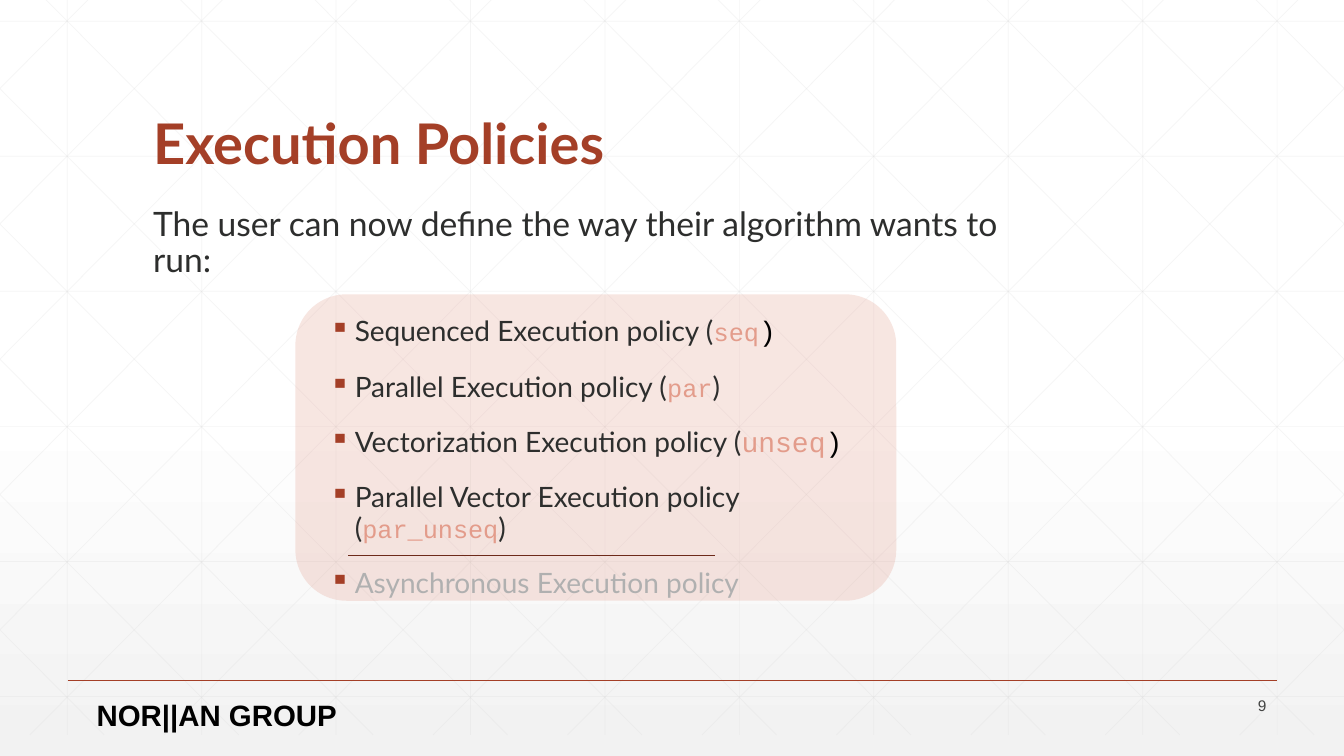
"""Build the slide on execution policies."""
from copy import deepcopy
from dataclasses import dataclass

from lxml import etree
from pptx import Presentation
from pptx.dml.color import RGBColor
from pptx.enum.shapes import MSO_CONNECTOR, MSO_SHAPE
from pptx.enum.text import MSO_ANCHOR, PP_ALIGN
from pptx.oxml.ns import qn
from pptx.util import Inches, Pt

LINE = MSO_CONNECTOR.STRAIGHT
ROUND = MSO_SHAPE.ROUNDED_RECTANGLE
TOP, MIDDLE, BOTTOM = MSO_ANCHOR.TOP, MSO_ANCHOR.MIDDLE, MSO_ANCHOR.BOTTOM
LEFT, RIGHT = PP_ALIGN.LEFT, PP_ALIGN.RIGHT

WIDE, HIGH = 13.33, 7.5
STEP_X, STEP_Y = 4 / 3, 1.34
GRID_TOP, GRID_END = -0.21, 7.29
RUN = 7.45

COLORS = {
    "white": "FFFFFF", "fade": "F2F2F2", "grid": "D9D9D9", "rust": "A43F27",
    "dark": "6D2A1A", "rose": "E39C8B", "ink": "2D2E2D", "black": "000000",
    "gray": "B0B0B0", "page": "424342",
}

FORMATS = {
    "title": {"name": "Lato", "size": Pt(40), "bold": True},
    "lead": {"name": "Lato", "size": Pt(24)},
    "body": {"name": "Lato", "size": Pt(20)},
    "code": {"name": "Courier New", "size": Pt(18)},
    "large": {"name": "Courier New", "size": Pt(20)},
    "group": {"name": "Arial", "size": Pt(21), "bold": True},
    "page": {"name": "Arial", "size": Pt(11)},
}


@dataclass
class Run:
    text: str
    form: str = "body"
    color: str = "ink"


@dataclass
class Box:
    at: tuple
    lines: list
    anchor: MSO_ANCHOR = TOP
    align: PP_ALIGN = LEFT
    space: float = 1.0
    wrap: bool = True
    list_mark: bool = False


@dataclass
class Rule:
    start: tuple
    end: tuple
    color: str = "grid"
    width: float = 0.5
    alpha: int = 100


POLICIES = [
    [Run("Sequenced Execution policy ("), Run("seq", "code", "rose"), Run(")", "large", "black")],
    [Run("Parallel Execution policy ("), Run("par", "code", "rose"), Run(")")],
    [Run("Vectorization Execution policy ("), Run("unseq", "large", "rose"),
     Run(")", "large", "black")],
    [Run("Parallel Vector Execution policy ("), Run("par_unseq", "code", "rose"), Run(")")],
    [Run("Asynchronous Execution policy", color="gray")],
]

BOXES = [
    Box((0.86, 6.87, 2.6, 0.45), [[Run("NOR||AN GROUP", "group", "black")]], wrap=False),
    Box((1.42, 2.01, 8.64, 0.7),
        [[Run("The user can now define the way their algorithm wants to run:", "lead")]],
        space=0.9),
    Box((11.66, 6.88, 1, 0.24), [[Run("9", "page", "page")]], anchor=MIDDLE, align=RIGHT),
    Box((3.17, 3.1, 5.59, 2.75), POLICIES, space=0.9, list_mark=True),
    Box((1.42, 0.55, 5.89, 1.25), [[Run("Execution Policies", "title", "rust")]],
        anchor=BOTTOM, space=0.9),
]


def shade(name: str) -> RGBColor:
    return RGBColor.from_string(COLORS[name])


def fade(node, alpha: int) -> None:
    color = node.find(".//" + qn("a:srgbClr"))
    etree.SubElement(color, qn("a:alpha"), val=str(alpha * 1000))


def draw_back(slide) -> None:
    fill = slide.background.fill
    fill.gradient()
    fill.gradient_angle = 270
    stops = slide.element.find(".//" + qn("a:gsLst"))
    stops.append(deepcopy(stops[-1]))
    plan = [("white", 0), ("white", 0.53), ("fade", 1)]
    for stop, (color, place) in zip(fill.gradient_stops, plan):
        stop.color.rgb = shade(color)
        stop.position = place
    fade(stops[-1], 65)


def draw_rule(slide, rule: Rule) -> None:
    ends = [Inches(v) for v in rule.start + rule.end]
    line = slide.shapes.add_connector(LINE, *ends)
    line.line.color.rgb = shade(rule.color)
    line.line.width = Pt(rule.width)
    props = line.element.spPr
    if rule.alpha < 100:
        fade(props, rule.alpha)
    etree.SubElement(props, qn("a:effectLst"))


def grid_rules() -> list[Rule]:
    pairs = []
    for col in range(10):
        x = STEP_X * (col + 0.5)
        pairs.append(((x, GRID_TOP), (x, GRID_END)))
    for row in range(6):
        y = 0.21 + STEP_Y * row
        pairs.append(((0, y), (WIDE, y)))
    slope = (GRID_END - GRID_TOP) / RUN
    for step in range(-5, 10):
        x = 0.25 + STEP_X * step
        left, right = max(x, 0), min(x + RUN, WIDE)
        high, low = (GRID_TOP + (v - x) * slope for v in (left, right))
        pairs.append(((left, high), (right, low)))
        pairs.append(((WIDE - left, high), (WIDE - right, low)))
    return [Rule(start, end, alpha=25) for start, end in pairs]


def add_mark(para) -> None:
    props = para._p.get_or_add_pPr()
    props.set("marL", str(Inches(0.25)))
    props.set("indent", str(-Inches(0.25)))
    tint = etree.SubElement(props, qn("a:buClr"))
    etree.SubElement(tint, qn("a:srgbClr"), val=COLORS["rust"])
    etree.SubElement(props, qn("a:buChar"), char="▪")


def draw_box(slide, box: Box) -> None:
    shape = slide.shapes.add_textbox(*map(Inches, box.at))
    frame = shape.text_frame
    frame.word_wrap = box.wrap
    frame.vertical_anchor = box.anchor
    for i, runs in enumerate(box.lines):
        para = frame.add_paragraph() if i else frame.paragraphs[0]
        if box.list_mark:
            add_mark(para)
        para.alignment = box.align
        para.line_spacing = box.space
        if i:
            para.space_before = Pt(18)
        for part in runs:
            run = para.add_run()
            run.text = part.text
            run.font.color.rgb = shade(part.color)
            for key, value in FORMATS[part.form].items():
                setattr(run.font, key, value)


def draw_panel(slide) -> None:
    panel = slide.shapes.add_shape(ROUND, *map(Inches, (2.93, 2.92, 5.96, 3.04)))
    panel.shadow.inherit = False
    panel.fill.solid()
    panel.fill.fore_color.rgb = shade("rose")
    fade(panel.element.spPr, 25)
    panel.line.fill.background()


def main() -> None:
    deck = Presentation()
    deck.slide_width, deck.slide_height = Inches(WIDE), Inches(HIGH)
    slide = deck.slides.add_slide(deck.slide_layouts[6])
    draw_back(slide)
    for rule in grid_rules():
        draw_rule(slide, rule)
    draw_rule(slide, Rule((0.67, 6.75), (12.67, 6.75), "rust", 1))
    draw_panel(slide)
    for box in BOXES:
        draw_box(slide, box)
    draw_rule(slide, Rule((7.09, 5.51), (3.45, 5.51), "dark"))
    deck.save("out.pptx")


if __name__ == "__main__":
    main()
